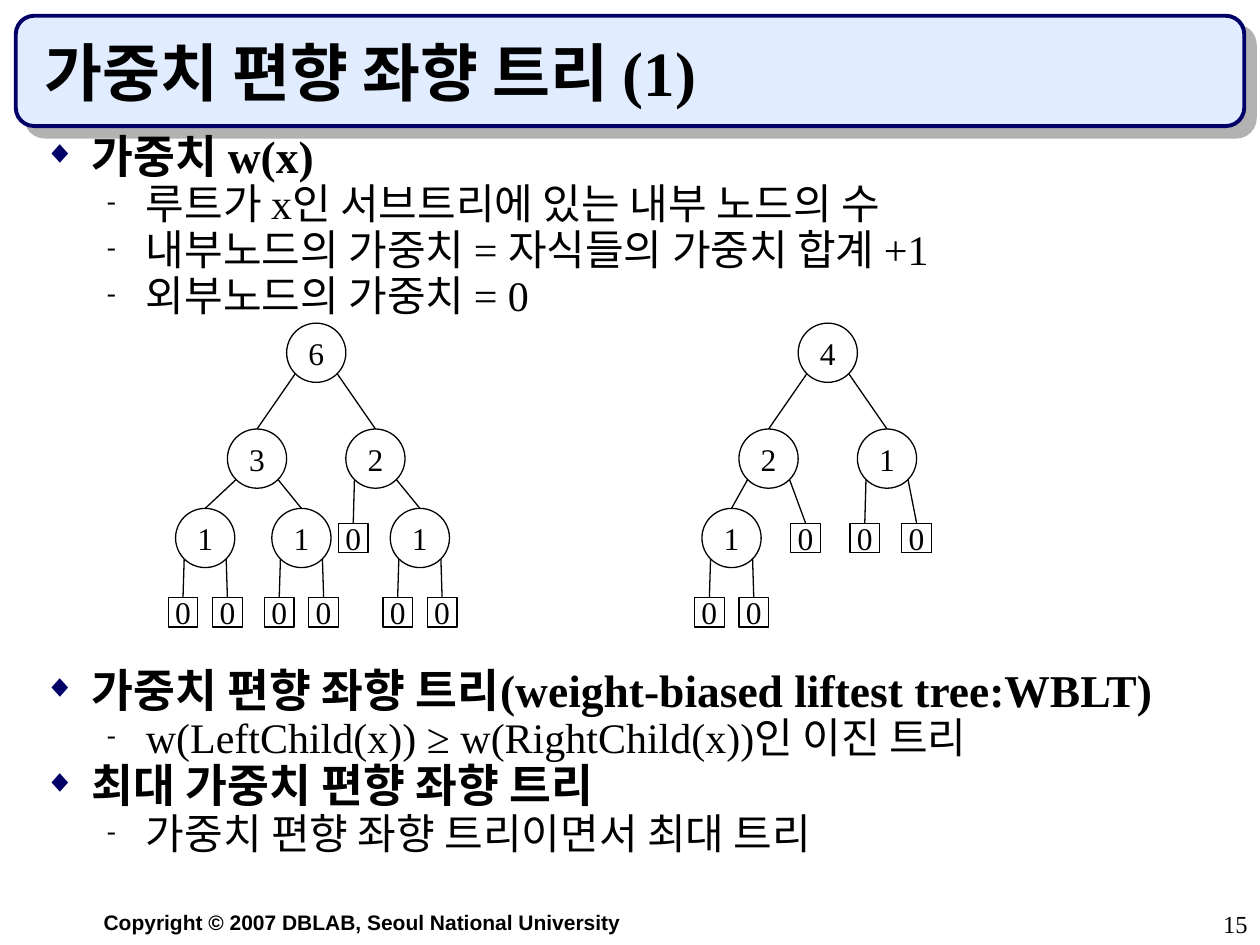
from dataclasses import dataclass

from lxml.etree import SubElement
from pptx import Presentation
from pptx.dml.color import RGBColor
from pptx.enum.shapes import MSO_CONNECTOR as Link, MSO_SHAPE as Kind
from pptx.enum.text import MSO_ANCHOR as Anchor, MSO_AUTO_SIZE as Fit, PP_ALIGN as Align
from pptx.oxml.ns import qn
from pptx.util import Inches, Pt

CELL = 1 / 12        # page grid: 120 columns by 90 rows
STEP = 0.47 / 8      # tree grid: a circle is 8 steps wide
LEVELS = (2.8, 3.64, 4.27, 4.86)
DIAG = 4 * 0.71      # steps from a circle's centre to its 45 degree point
SERIF = "Times New Roman"


@dataclass
class Node:
    text: str
    shift: float     # steps from the parent's centre
    kids: tuple = ()


@dataclass
class Style:
    size: float
    bold: bool
    left: float
    hang: float
    mark: str
    tint: str
    scale: int
    gap: float


@dataclass
class Item:
    text: str
    style: Style
    gap: float = 0


HEAD = Style(26, True, 0.38, 0.38, "◆", "000066", 70, 6.5)
SUB = Style(24, False, 0.81, 0.31, "-", "000000", 65, 6)
ITEMS = (
    Item("가중치 w(x)", HEAD),
    Item("루트가 x인 서브트리에 있는 내부 노드의 수", SUB),
    Item("내부노드의 가중치 = 자식들의 가중치 합계 +1", SUB),
    Item("외부노드의 가중치 = 0", SUB),
    Item("가중치 편향 좌향 트리(weight-biased liftest tree:WBLT)", HEAD, 205),
    Item("w(LeftChild(x)) ≥ w(RightChild(x))인 이진 트리", SUB),
    Item("최대 가중치 편향 좌향 트리", HEAD),
    Item("가중치 편향 좌향 트리이면서 최대 트리", SUB),
)


def leaf(shift: float) -> Node:
    return Node("0", shift)


def one(shift: float) -> Node:
    return Node("1", shift, (leaf(-3), leaf(3)))


TREES = (
    (2.51, Node("6", 0, (
        Node("3", -8, (one(-7), one(6))),
        Node("2", 8, (leaf(-3), one(6)))))),
    (6.57, Node("4", 0, (
        Node("2", -8, (one(-5), leaf(5))),
        Node("1", 8, (leaf(-3), leaf(4)))))),
)


def color(code: str) -> RGBColor:
    return RGBColor.from_string(code)


def grid(*cells: float) -> list:
    return [Inches(n * CELL) for n in cells]


def write(para, text: str, size=18, bold=False, font=SERIF, tint="000000",
          align=Align.LEFT):
    para.text = text
    para.alignment = align
    face = para.font
    face.size, face.bold, face.name = Pt(size), bold, font
    face.color.rgb = color(tint)


def frame(slide, *cells: float):
    area = slide.shapes.add_textbox(*grid(*cells)).text_frame
    area.word_wrap = True
    return area


def mark(para, style: Style):
    props = para._p.get_or_add_pPr()
    props.set("marL", str(Inches(style.left)))
    props.set("indent", str(-Inches(style.hang)))
    SubElement(SubElement(props, qn("a:buClr")), qn("a:srgbClr"), val=style.tint)
    SubElement(props, qn("a:buSzPct"), val=str(style.scale * 1000))
    SubElement(props, qn("a:buFont"), typeface=SERIF)
    SubElement(props, qn("a:buChar"), char=style.mark)


def banner(slide):
    shape = slide.shapes.add_shape(Kind.ROUNDED_RECTANGLE, *grid(1.5, 1.5, 117, 10.5))
    shape.fill.solid()
    shape.fill.fore_color.rgb = color("E1ECFF")
    shape.line.color.rgb = color("000066")
    shape.line.width = Pt(2.25)
    shape.shadow.inherit = False
    effects = shape.element.spPr.find(qn("a:effectLst"))
    shade = SubElement(effects, qn("a:outerShdw"), dist=str(Pt(8.5)),
                       dir=str(45 * 60000), algn="ctr", rotWithShape="0")
    SubElement(shade, qn("a:srgbClr"), val="B2B2B2")
    slide.shapes.title.element.addprevious(shape.element)


def heading(slide, text: str):
    title = slide.shapes.title
    title.left, title.top, title.width, title.height = grid(3, 3, 113, 8)
    area = title.text_frame
    area.auto_size = Fit.NONE
    area.vertical_anchor = Anchor.BOTTOM
    write(area.paragraphs[0], text, size=36, bold=True)


def outline(slide, items: tuple):
    area = frame(slide, 3, 13, 113, 70)
    for i, item in enumerate(items):
        para = area.add_paragraph() if i else area.paragraphs[0]
        style = item.style
        mark(para, style)
        write(para, item.text, size=style.size, bold=style.bold)
        para.line_spacing = 0.7
        if i:
            para.space_before = Pt(item.gap or style.gap)


def edge(slide, *ends: float):
    line = slide.shapes.add_connector(Link.STRAIGHT, *map(Inches, ends))
    line.line.color.rgb = color("000000")
    line.line.width = Pt(0.75)
    SubElement(line.element.spPr, qn("a:effectLst"))


def draw(slide, node: Node, x: float, level: int = 0):
    """Draw a node centred at x, then its edges and its subtrees."""
    y = LEVELS[level]
    half = (4 if node.kids else 2) * STEP
    kind = Kind.OVAL if node.kids else Kind.RECTANGLE
    shape = slide.shapes.add_shape(
        kind, *map(Inches, (x - half, y - half, 2 * half, 2 * half)))
    shape.fill.background()
    shape.line.color.rgb = color("000000")
    shape.line.width = Pt(0.75)
    shape.shadow.inherit = False
    area = shape.text_frame
    area.word_wrap = False
    area.vertical_anchor = Anchor.MIDDLE
    write(area.paragraphs[0], node.text, align=Align.CENTER)
    for side, kid in zip((-1, 1), node.kids):
        end = x + kid.shift * STEP
        top = LEVELS[level + 1] - (4 if kid.kids else 2) * STEP
        edge(slide, x + side * DIAG * STEP, y + DIAG * STEP, end, top)
        draw(slide, kid, end, level + 1)


def main():
    deck = Presentation()
    deck.slide_width, deck.slide_height = grid(120, 90)
    slide = deck.slides.add_slide(deck.slide_layouts[5])
    banner(slide)
    heading(slide, "가중치 편향 좌향 트리 (1)")
    outline(slide, ITEMS)
    for x, root in TREES:
        draw(slide, root, x)
    write(frame(slide, 3, 86, 63, 4).paragraphs[0],
          "Copyright © 2007 DBLAB, Seoul National University",
          size=12, bold=True, font="Arial", align=Align.CENTER)
    write(frame(slide, 95, 86, 25, 4).paragraphs[0], "15", size=14, align=Align.RIGHT)
    deck.save("out.pptx")


if __name__ == "__main__":
    main()
